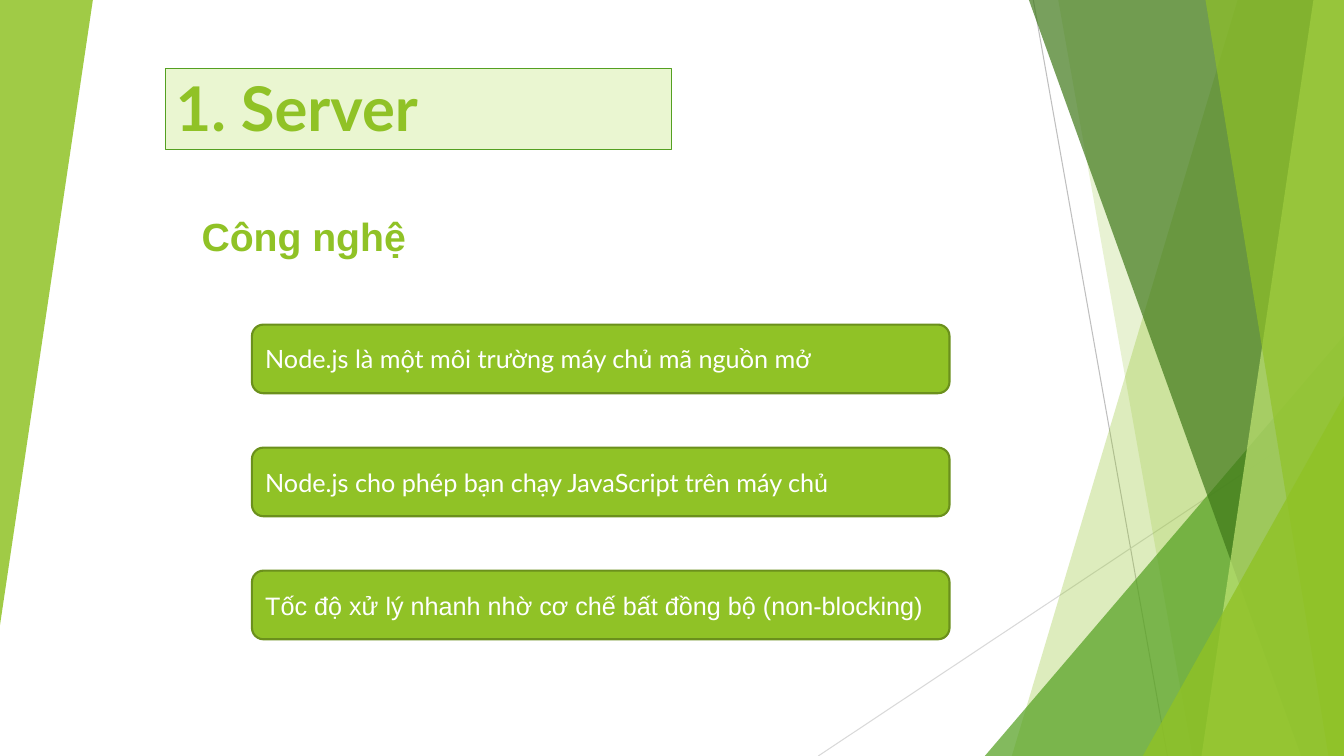
import pptx
import pptx.dml.color
import pptx.enum.shapes
import pptx.enum.text
import pptx.oxml.ns
import pptx.oxml.xmlchemy
import pptx.util

Cm = pptx.util.Cm
Pt = pptx.util.Pt
SHAPES = pptx.enum.shapes.MSO_SHAPE
ANCHORS = pptx.enum.text.MSO_ANCHOR

WIDTH, HEIGHT = 33.87, 19.05
LIME, GREEN, WHITE = "90C226", "54A021", "FFFFFF"

TITLE = "1. Server"
SUBHEADING = "Công nghệ"
CARDS = [
    ("Node.js là một môi trường máy chủ mã nguồn mở", "Lato"),
    ("Node.js cho phép bạn chạy JavaScript trên máy chủ", "Lato"),
    ("Tốc độ xử lý nhanh nhờ cơ chế bất đồng bộ (non-blocking)", "Arial"),
]
CARD_LEFT, CARD_TOP, CARD_WIDTH, CARD_HEIGHT, CARD_PITCH = 6.35, 8.18, 17.58, 1.73, 3.1

# start x, start y, end x, end y, colour
THIN_LINES = [
    (26.04, 0, 29.42, HEIGHT, "BFBFBF"),
    (WIDTH, 10.24, 20.62, HEIGHT, "D9D9D9"),
]
# Bands reach the right edge: kind, x at top, x at bottom, colour, opacity in percent
# Triangles sit in the lower right corner: kind, left, top, colour, opacity in percent
RIGHT_DECOR = [
    ("band", 31.19, 25.5, LIME, 30),
    ("band", 26.67, 30.05, LIME, 20),
    ("triangle", 24.82, 8.46, GREEN, 72),
    ("band", 25.93, 32.79, "3F7819", 70),
    ("band", 33.1, 30.28, "C0E474", 70),
    ("band", 30.38, 33.48, LIME, 65),
    ("triangle", 28.8, 9.98, LIME, 80),
]


def color(hex_text):
    return pptx.dml.color.RGBColor.from_string(hex_text)


def paint(shape, fill, line=None, line_width=0.75, opacity=100):
    shape.shadow.inherit = False
    shape.fill.solid()
    shape.fill.fore_color.rgb = color(fill)
    if opacity < 100:
        fill_color = shape._element.spPr.find(".//" + pptx.oxml.ns.qn("a:srgbClr"))
        alpha = pptx.oxml.xmlchemy.OxmlElement("a:alpha")
        alpha.set("val", str(opacity * 1000))
        fill_color.append(alpha)
    if line:
        shape.line.color.rgb = color(line)
        shape.line.width = Pt(line_width)
    else:
        shape.line.fill.background()


def write(shape, text, font_name, size, text_color, bold=False, anchor=ANCHORS.MIDDLE):
    frame = shape.text_frame
    frame.text = text
    frame.word_wrap = True
    frame.auto_size = pptx.enum.text.MSO_AUTO_SIZE.NONE
    frame.vertical_anchor = anchor
    paragraph = frame.paragraphs[0]
    paragraph.alignment = pptx.enum.text.PP_ALIGN.LEFT
    font = paragraph.runs[0].font
    font.name, font.size, font.bold = font_name, Pt(size), bold
    font.color.rgb = color(text_color)


def add_thin_line(slide, start_x, start_y, end_x, end_y, line_color):
    line = slide.shapes.add_connector(
        pptx.enum.shapes.MSO_CONNECTOR.STRAIGHT,
        Cm(start_x), Cm(start_y), Cm(end_x), Cm(end_y))
    line.line.color.rgb = color(line_color)
    line.line.width = Pt(0.75)
    line._element.spPr.append(pptx.oxml.xmlchemy.OxmlElement("a:effectLst"))


def add_band(slide, top_x, bottom_x, fill, opacity):
    builder = slide.shapes.build_freeform(Cm(top_x), 0)
    corners = [(WIDTH, 0), (WIDTH, HEIGHT), (bottom_x, HEIGHT)]
    builder.add_line_segments([(Cm(x), Cm(y)) for x, y in corners], close=True)
    paint(builder.convert_to_shape(), fill, opacity=opacity)


def add_triangle(slide, left, top, width, height, fill, opacity):
    """Add a right triangle whose upright side is on the right."""
    triangle = slide.shapes.add_shape(
        SHAPES.ISOSCELES_TRIANGLE, Cm(left), Cm(top), Cm(width), Cm(height))
    triangle.adjustments[0] = 1
    paint(triangle, fill, opacity=opacity)
    return triangle


def add_decor(slide):
    for line in THIN_LINES:
        add_thin_line(slide, *line)
    for kind, first, second, fill, opacity in RIGHT_DECOR:
        if kind == "band":
            add_band(slide, first, second, fill, opacity)
        else:
            add_triangle(slide, first, second, WIDTH - first, HEIGHT - second, fill, opacity)
    add_triangle(slide, 0, 0, 2.34, 15.75, LIME, 85).rotation = 180


def add_content(slide):
    title = slide.shapes.title
    title.left, title.top, title.width, title.height = Cm(4.17), Cm(1.73), Cm(12.75), Cm(2.03)
    title.fill.solid()
    title.fill.fore_color.rgb = color("EAF6D1")
    title.line.color.rgb = color(GREEN)
    title.line.width = Pt(0.75)
    write(title, TITLE, "Lato", 44, LIME, bold=True, anchor=ANCHORS.BOTTOM)

    for index, (text, font_name) in enumerate(CARDS):
        card = slide.shapes.add_shape(
            SHAPES.ROUNDED_RECTANGLE, Cm(CARD_LEFT), Cm(CARD_TOP + index * CARD_PITCH),
            Cm(CARD_WIDTH), Cm(CARD_HEIGHT))
        paint(card, LIME, "6B901C", 1.5)
        write(card, text, font_name, 18, WHITE)

    subheading = slide.shapes.add_shape(
        SHAPES.RECTANGLE, Cm(4.83), Cm(5.23), Cm(10.64), Cm(1.45))
    paint(subheading, WHITE, WHITE, 1.5)
    write(subheading, SUBHEADING, "Arial", 28, LIME, bold=True, anchor=ANCHORS.TOP)


def main():
    presentation = pptx.Presentation()
    presentation.slide_width, presentation.slide_height = Cm(WIDTH), Cm(HEIGHT)
    slide = presentation.slides.add_slide(presentation.slide_layouts[5])
    add_decor(slide)
    add_content(slide)
    presentation.save("out.pptx")


if __name__ == "__main__":
    main()
